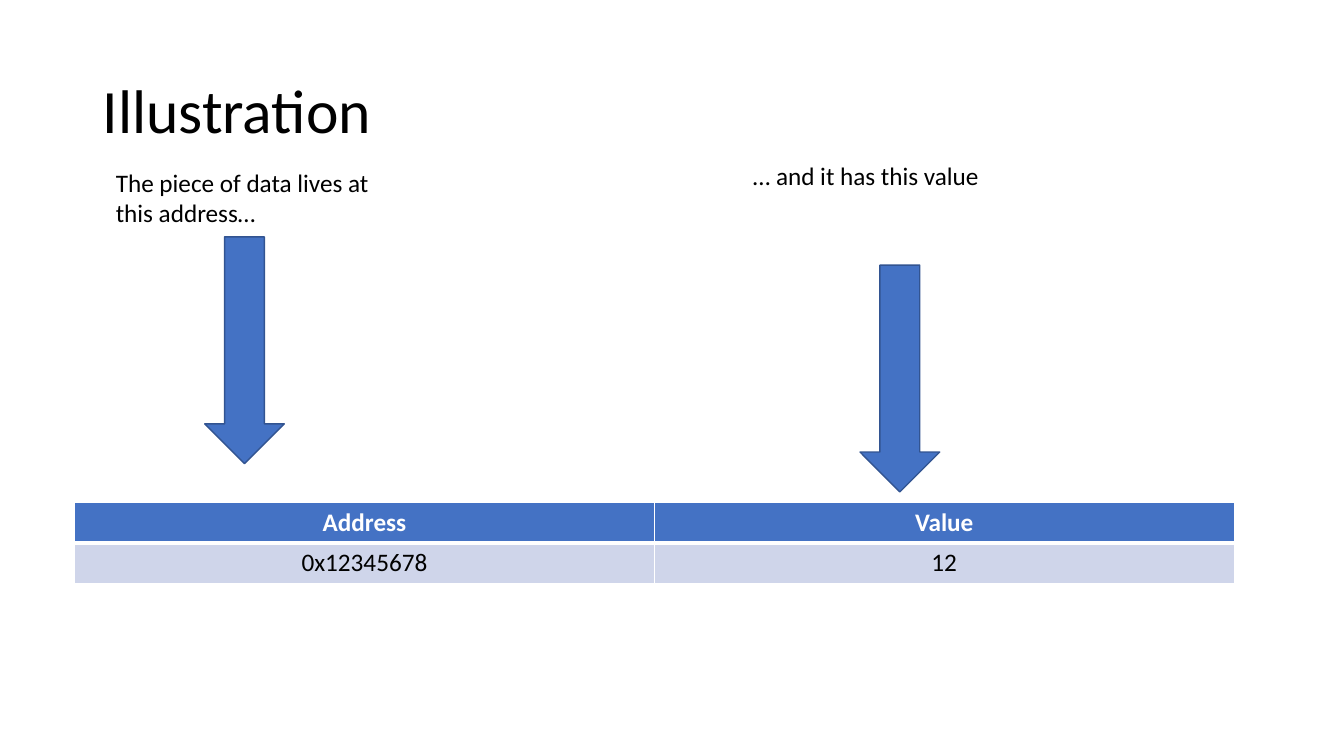
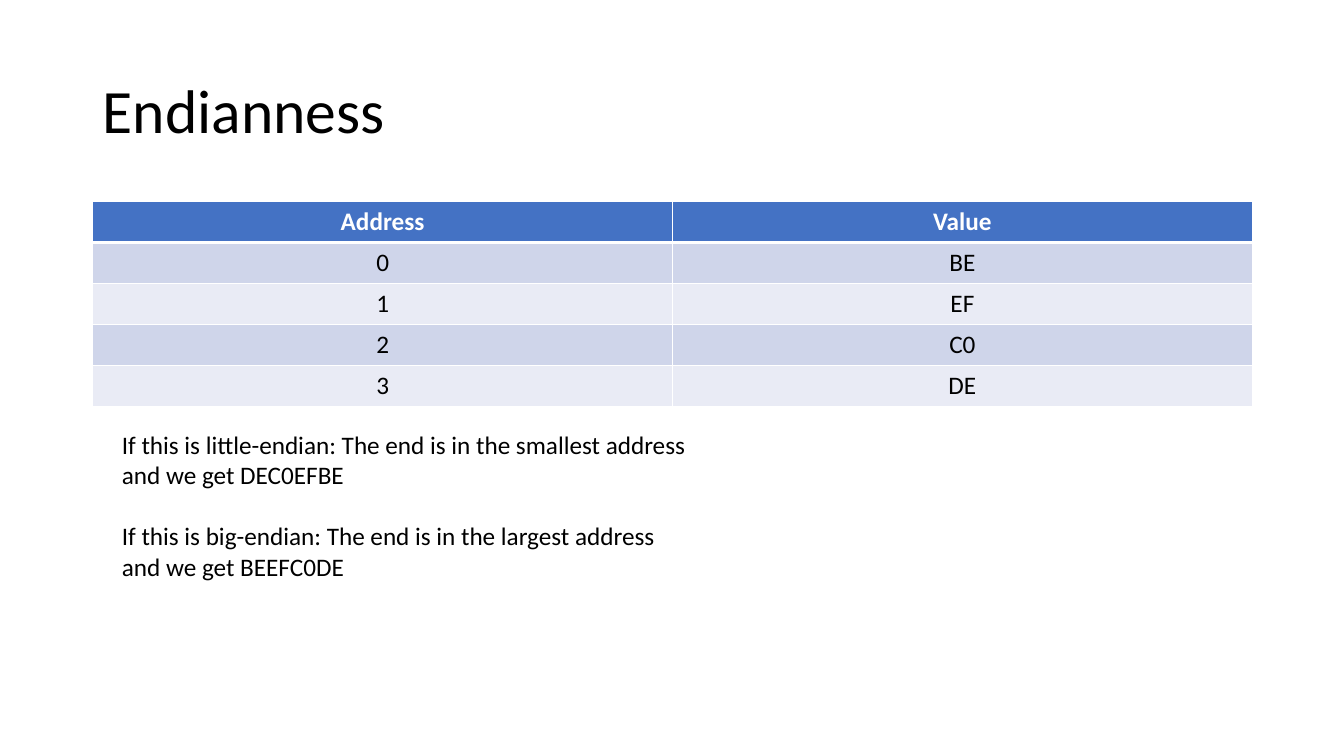
from dataclasses import dataclass

from lxml.etree import SubElement
from pptx import Presentation
from pptx.dml.color import RGBColor
from pptx.enum.shapes import MSO_SHAPE
from pptx.enum.text import MSO_ANCHOR, PP_ALIGN
from pptx.oxml.ns import qn
from pptx.util import Inches, Pt


@dataclass(frozen=True)
class Theme:
    """Colours, font and type sizes of the deck."""
    font: str = "Calibri"
    title_size: int = 44
    body_size: int = 18
    text: RGBColor = RGBColor(0x00, 0x00, 0x00)
    white: RGBColor = RGBColor(0xFF, 0xFF, 0xFF)
    accent: RGBColor = RGBColor(0x44, 0x72, 0xC4)
    outline: RGBColor = RGBColor(0x32, 0x54, 0x91)
    bands: tuple = (RGBColor(0xCF, 0xD5, 0xEA), RGBColor(0xE9, 0xEB, 0xF5))


theme = Theme()


def write_text(tf, *paragraphs, size=theme.body_size, color=theme.text, bold=False,
               align=PP_ALIGN.LEFT, spacing=1.0, gap=0):
    """Fill a text frame with paragraphs in one format."""
    tf.word_wrap = True
    for i, text in enumerate(paragraphs):
        p = tf.add_paragraph() if i else tf.paragraphs[0]
        p.alignment = align
        p.line_spacing = spacing
        p.space_before = Pt(gap if i else 0)
        r = p.add_run()
        r.text = text
        r.font.name = theme.font
        r.font.size = Pt(size)
        r.font.bold = bold
        r.font.color.rgb = color


def add_memory_table(s, left, top, height, rows):
    """Add an address and value table with a header and banded rows."""
    rows = [("Address", "Value"), *rows]
    table = s.shapes.add_table(len(rows), 2, Inches(left), Inches(top),
                               Inches(11.5), Inches(height)).table
    for i, row in enumerate(rows):
        header = i == 0
        widths = {"L": 1, "R": 1, "T": 3 if i == 1 else 1, "B": 3 if header else 1}
        for j, text in enumerate(row):
            cell = table.cell(i, j)
            write_text(cell.text_frame, text, bold=header, align=PP_ALIGN.CENTER,
                       color=theme.white if header else theme.text)
            tc_pr = cell._tc.get_or_add_tcPr()
            for side, width in widths.items():
                ln = SubElement(tc_pr, qn(f"a:ln{side}"), w=str(Pt(width)))
                fill = SubElement(ln, qn("a:solidFill"))
                SubElement(fill, qn("a:srgbClr"), val=str(theme.white))
            cell.fill.solid()
            cell.fill.fore_color.rgb = theme.accent if header else theme.bands[(i - 1) % 2]


prs = Presentation()
prs.slide_width, prs.slide_height = Inches(13.33), Inches(7.5)

slides = []
for title in ("Illustration", "Endianness"):
    s = prs.slides.add_slide(prs.slide_layouts[6])
    tf = s.shapes.add_textbox(Inches(0.92), Inches(0.4), Inches(11.5), Inches(1.45)).text_frame
    tf.vertical_anchor = MSO_ANCHOR.MIDDLE
    write_text(tf, title, size=theme.title_size, spacing=0.9)
    slides.append(s)
illustration, endianness = slides

# Illustration: each caption points down at its column
add_memory_table(illustration, 0.74, 4.98, 0.81, [("0x12345678", "12")])
captions = [
    ("The piece of data lives at this address…", (1.05, 1.61, 2.88, 0.71), (2.03, 2.35)),
    ("… and it has this value", (7.37, 1.54, 3.23, 0.4), (8.53, 2.63)),
]
for text, box, (left, top) in captions:
    sp = illustration.shapes.add_shape(MSO_SHAPE.DOWN_ARROW, Inches(left), Inches(top),
                                       Inches(0.79), Inches(2.25))
    sp.shadow.inherit = False
    sp.fill.solid()
    sp.fill.fore_color.rgb = theme.accent
    sp.line.color.rgb = theme.outline
    sp.line.width = Pt(1)
    caption = illustration.shapes.add_textbox(*map(Inches, box))
    write_text(caption.text_frame, text)

# Endianness: bytes in memory, then the two readings
add_memory_table(endianness, 0.92, 2, 2.03,
                 [(str(i), byte) for i, byte in enumerate(("BE", "EF", "C0", "DE"))])
readings = endianness.shapes.add_textbox(Inches(1.11), Inches(4.21), Inches(5.81), Inches(1.62))
write_text(readings.text_frame,
           "If this is little-endian: The end is in the smallest address and we get DEC0EFBE",
           "If this is big-endian: The end is in the largest address and we get BEEFC0DE",
           gap=22)

prs.save("out.pptx")
